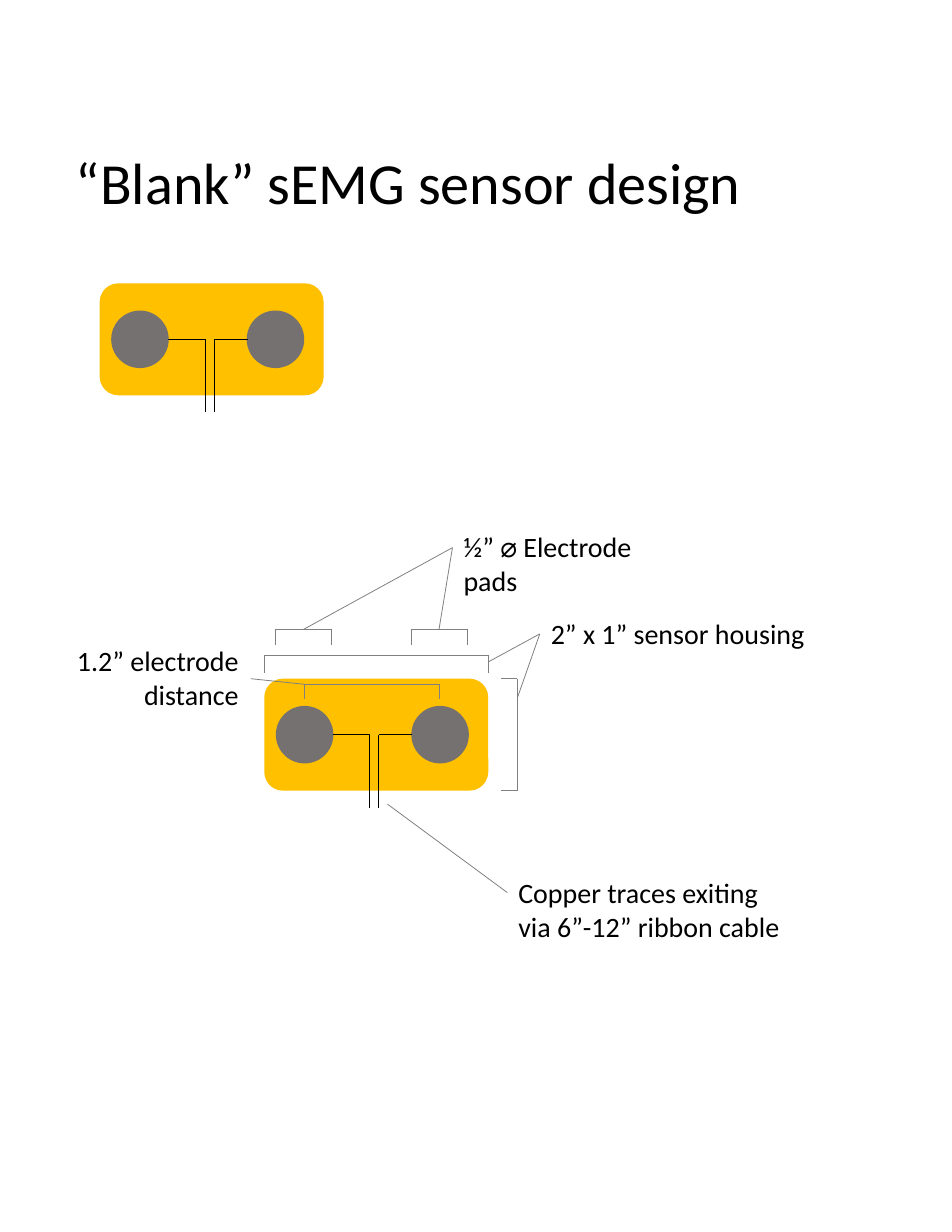
from itertools import pairwise

from lxml.etree import SubElement
from pptx import Presentation
from pptx.dml.color import RGBColor
from pptx.enum.shapes import MSO_CONNECTOR, MSO_SHAPE
from pptx.enum.text import MSO_ANCHOR, PP_ALIGN
from pptx.oxml.ns import qn
from pptx.util import Inches, Pt

FONT = "Calibri"
BLACK, GRAY, HOUSING, PAD = "000000", "808080", "FFC000", "767171"
PAD_SIZE = 0.5
PAD_OFFSETS = (0.11, 1.32)
TRACE_OFFSETS = (0.94, 1.02)

TITLE = "“Blank” sEMG sensor design"
SENSORS = [(0.89, 2.53), (2.36, 6.06)]
BRACKETS = [
    [(2.46, 5.76), (2.46, 5.62), (2.96, 5.62), (2.96, 5.76)],
    [(3.67, 5.76), (3.67, 5.62), (4.17, 5.62), (4.17, 5.76)],
    [(4.36, 6.01), (4.36, 5.85), (2.36, 5.85), (2.36, 6.01)],
    [(4.47, 7.06), (4.62, 7.06), (4.62, 6.06), (4.47, 6.06)],
    [(3.92, 6.24), (3.92, 6.11), (2.72, 6.11), (2.72, 6.24)],
]
LEADERS = [
    [(2.71, 5.62), (4.04, 4.89)],
    [(3.92, 5.62), (4.04, 4.89)],
    [(4.36, 5.91), (4.82, 5.66)],
    [(4.62, 6.23), (4.82, 5.66)],
    [(4.53, 7.97), (3.46, 7.18)],
    [(2.72, 6.11), (2.24, 6.06)],
]
LABELS = [
    (["½” ⌀ Electrode pads"], (4.04, 4.68, 2.22, 0.4), PP_ALIGN.LEFT),
    (["2” x 1” sensor housing"], (4.82, 5.46, 2.47, 0.4), PP_ALIGN.LEFT),
    (["Copper traces exiting", "via 6”-12” ribbon cable"], (4.53, 7.77, 2.53, 0.71), PP_ALIGN.LEFT),
    (["1.2” electrode", "distance"], (0.58, 5.7, 1.65, 0.71), PP_ALIGN.RIGHT),
]


def color(value):
    return RGBColor.from_string(value)


def add_path(shapes, points, stroke):
    for start, end in pairwise(points):
        line = shapes.add_connector(MSO_CONNECTOR.STRAIGHT, *map(Inches, start + end))
        line.line.color.rgb = color(stroke)
        line.line.width = Pt(0.5)
        SubElement(line._element.spPr, qn("a:effectLst"))


def add_solid(shapes, kind, frame, fill, outlined=False):
    shape = shapes.add_shape(kind, *map(Inches, frame))
    shape.shadow.inherit = False
    shape.fill.solid()
    shape.fill.fore_color.rgb = color(fill)
    if outlined:
        shape.line.color.rgb = color(fill)
        shape.line.width = Pt(1)
    else:
        shape.line.fill.background()


def add_sensor(page, left, top):
    shapes = page.shapes.add_group_shape().shapes
    middle = top + 0.5
    add_solid(shapes, MSO_SHAPE.ROUNDED_RECTANGLE, (left, top, 2, 1), HOUSING)
    for offset in PAD_OFFSETS:
        frame = (left + offset, middle - PAD_SIZE / 2, PAD_SIZE, PAD_SIZE)
        add_solid(shapes, MSO_SHAPE.OVAL, frame, PAD, outlined=True)
    pad_edges = (PAD_OFFSETS[0] + PAD_SIZE, PAD_OFFSETS[1])
    for edge, trace in zip(pad_edges, TRACE_OFFSETS):
        points = [(left + edge, middle), (left + trace, middle), (left + trace, middle + 0.65)]
        add_path(shapes, points, BLACK)


def add_text(page, lines, frame, size, align=PP_ALIGN.LEFT, wrap=False):
    box = page.shapes.add_textbox(*map(Inches, frame))
    box.text_frame.text = "\n".join(lines)
    box.text_frame.word_wrap = wrap
    for para in box.text_frame.paragraphs:
        para.alignment = align
        for span in para.runs:
            span.font.name = FONT
            span.font.size = Pt(size)
            span.font.color.rgb = color(BLACK)
    return box


def main():
    deck = Presentation()
    deck.slide_width, deck.slide_height = Inches(8.5), Inches(11)
    page = deck.slides.add_slide(deck.slide_layouts[6])

    title = add_text(page, [TITLE], (0.58, 0.59, 7.33, 2.13), 37.4, wrap=True)
    title.text_frame.vertical_anchor = MSO_ANCHOR.MIDDLE
    title.text_frame.paragraphs[0].line_spacing = 0.9

    for left, top in SENSORS:
        add_sensor(page, left, top)
    for bracket in BRACKETS:
        add_path(page.shapes.add_group_shape().shapes, bracket, GRAY)
    for leader in LEADERS:
        add_path(page.shapes, leader, GRAY)

    boxes = [add_text(page, lines, frame, 18, align) for lines, frame, align in LABELS]
    pads_label = boxes[0].text_frame
    pads_label.word_wrap = True
    pads_label.margin_right = Inches(0.4)

    deck.save("out.pptx")


if __name__ == "__main__":
    main()
